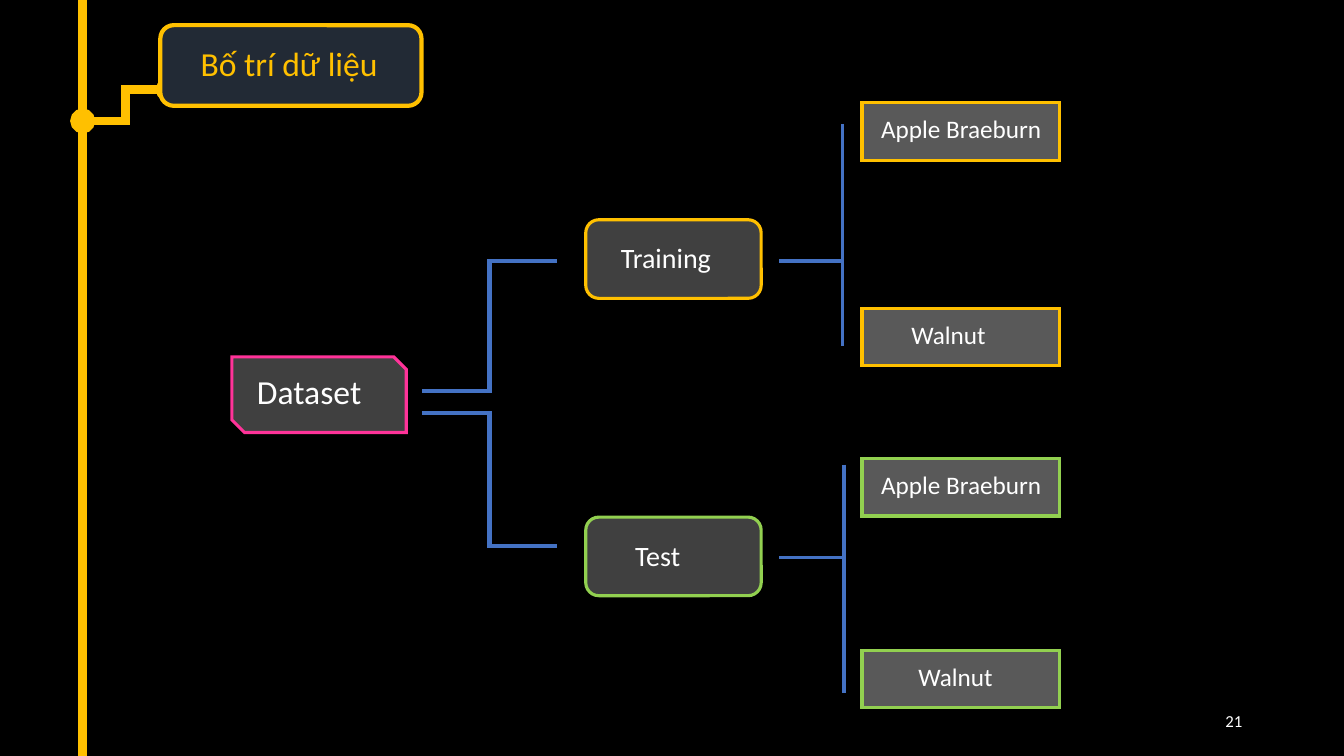
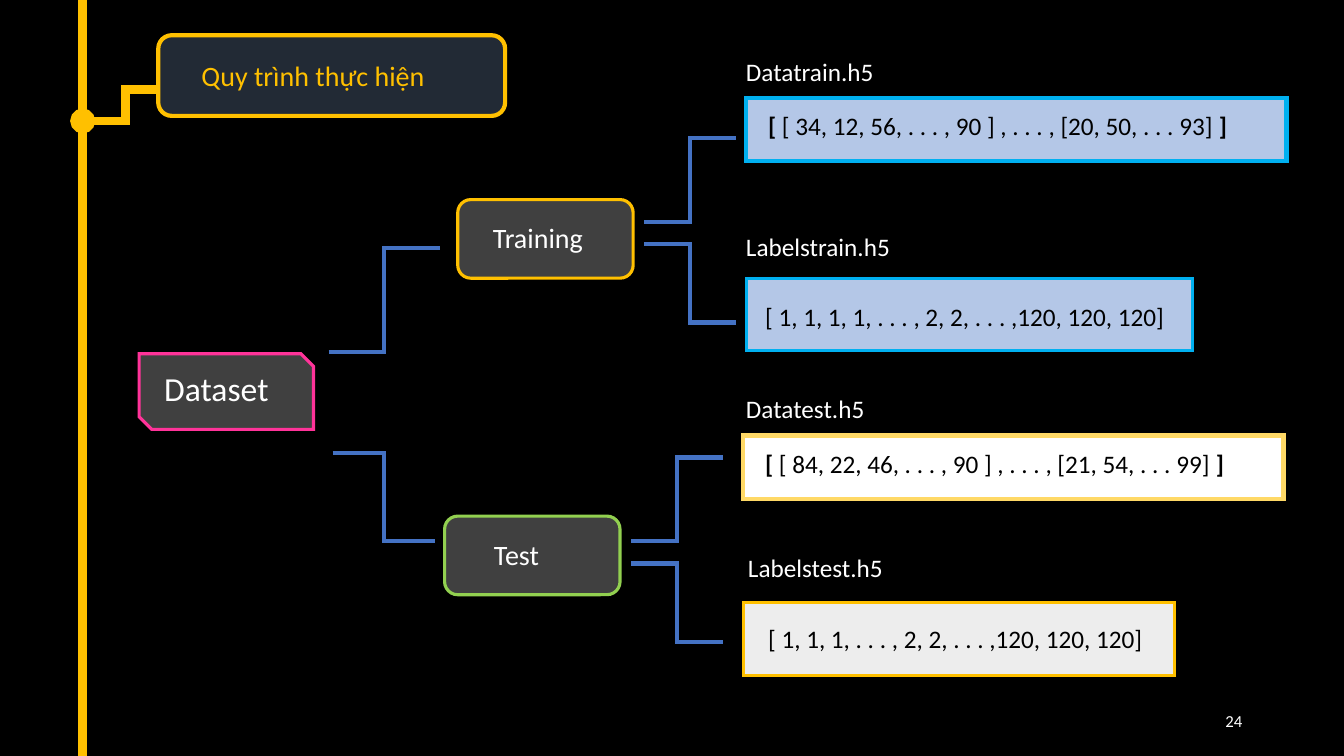
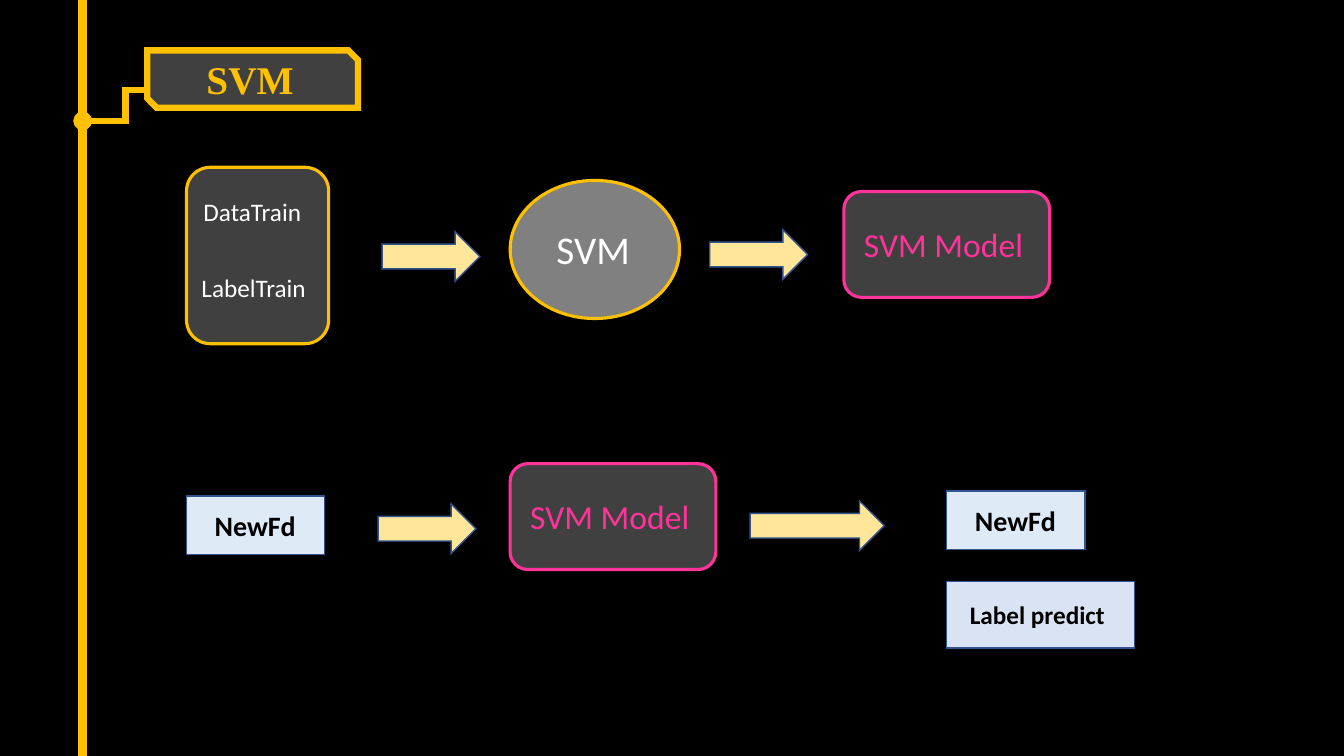
"""Build three dark slides: data layout, processing steps and SVM flow."""
from lxml import etree
from pptx import Presentation
from pptx import util as u
from pptx.dml import color
from pptx.enum import shapes, text
from pptx.oxml import ns

BLACK, WHITE, GOLD, PINK, GREEN = "000000", "FFFFFF", "FFC000", "FF3399", "92D050"
BLUE, SKY, NAVY, PALE_BLUE = "4472C4", "00B0F0", "325491", "B4C7E7"
NIGHT, CHARCOAL, GREY = "222A35", "404040", "595959"
RECT = shapes.MSO_SHAPE.RECTANGLE
ROUND = shapes.MSO_SHAPE.ROUNDED_RECTANGLE
SNIP = shapes.MSO_SHAPE.SNIP_2_DIAG_RECTANGLE
STRAIGHT, ELBOW = shapes.MSO_CONNECTOR.STRAIGHT, shapes.MSO_CONNECTOR.ELBOW


def rgb(value):
    """Turn a hex string into a colour."""
    return color.RGBColor.from_string(value)


def apply(target, values):
    """Set each attribute named in values on target."""
    for name, value in values.items():
        setattr(target, name, value)


def paint(fill, value):
    """Give a fill one solid colour."""
    fill.solid()
    fill.fore_color.rgb = rgb(value)


def outline(shape, value, width):
    """Give a shape or connector a solid line with sharp corners."""
    paint(shape.line.fill, value)
    shape.line.width = u.Pt(width)
    join = etree.SubElement(shape.line._get_or_add_ln(), ns.qn("a:miter"))
    join.set("lim", "800000")


def box(slide, kind, at, fill, line, width=2.25):
    """Draw a filled preset shape at left, top, width, height."""
    shape = slide.shapes.add_shape(kind, *map(u.Inches, at))
    shape.shadow.inherit = False
    paint(shape.fill, fill)
    outline(shape, line, width)


def caption(slide, left, top, width, runs, size=18, colour=WHITE, align=text.PP_ALIGN.LEFT, **font):
    """Write one line of text; runs is a string or (string, bold) pairs."""
    height = size * 1.2 / 72 + 0.1
    shape = slide.shapes.add_textbox(*map(u.Inches, (left, top, width, height)))
    shape.text_frame.word_wrap = True
    paragraph = shape.text_frame.paragraphs[0]
    paragraph.alignment = align
    for words, bold in [(runs, False)] if isinstance(runs, str) else runs:
        run = paragraph.add_run()
        run.text = words
        apply(run.font, {"name": "Calibri", "size": u.Pt(size), "bold": bold, **font})
        run.font.color.rgb = rgb(colour)


def connect(slide, kind, start, end, line=BLUE, width=3, ends=None):
    """Draw a connector from start to end, with optional end marks."""
    connector = slide.shapes.add_connector(kind, *map(u.Inches, (*start, *end)))
    outline(connector, line, width)
    if ends:
        for tag in ("a:headEnd", "a:tailEnd"):
            etree.SubElement(connector.line._get_or_add_ln(), ns.qn(tag)).set("type", ends)
    etree.SubElement(connector._element.spPr, ns.qn("a:effectLst"))


def start_slide(presentation, number=None, branch_width=6):
    """Add a black slide with the gold timeline and an optional number."""
    slide = presentation.slides.add_slide(presentation.slide_layouts[6])
    paint(slide.background.fill, BLACK)
    if number:
        caption(slide, 9.42, 7, 3, number, 12, align=text.PP_ALIGN.RIGHT)
    connect(slide, STRAIGHT, (0.82, 7.5), (0.82, 0), GOLD, 6)
    connect(slide, ELBOW, (0.82, 1.2), (1.67, 0.89), GOLD, branch_width, "oval")
    return slide


def dataset_node(slide, left, top):
    """Draw the root node of the data tree."""
    box(slide, SNIP, (left, top, 1.73, 0.75), CHARCOAL, PINK)
    caption(slide, left + 0.15, top + 0.09, 1.59, "Dataset", 24)


def split_node(slide, left, top, label, line, indent):
    """Draw a Training or Test node."""
    box(slide, ROUND, (left, top, 1.74, 0.78), CHARCOAL, line)
    caption(slide, left + indent, top + 0.16, 1.23, label, 20)


def class_node(slide, top, label, line, indent):
    """Draw a leaf naming one class."""
    box(slide, RECT, (8.55, top, 1.96, 0.57), GREY, line)
    caption(slide, 8.55 + indent, top + 0.06, 1.88, label)


def model_node(slide, left, top):
    """Draw the SVM model."""
    box(slide, ROUND, (left, top, 2.04, 1.05), CHARCOAL, PINK)
    caption(slide, left + 0.1, top + 0.27, 1.85, "SVM Model", 24, PINK)


def feature_node(slide, left, top):
    """Draw the new feature vector."""
    box(slide, RECT, (left, top, 1.37, 0.58), "DEEBF7", NAVY, 1)
    caption(slide, left + 0.18, top + 0.08, 1.21, "NewFd", 20, BLACK, bold=True)


def layout_slide(presentation):
    """Build the data layout tree."""
    slide = start_slide(presentation, "21")
    box(slide, ROUND, (1.59, 0.25, 2.59, 0.8), NIGHT, GOLD, 3)
    caption(slide, 1.89, 0.38, 1.98, "Bố trí dữ liệu", 24, GOLD)
    dataset_node(slide, 2.3, 3.54)
    connect(slide, ELBOW, (4.19, 3.88), (5.52, 2.59))
    connect(slide, ELBOW, (4.19, 4.1), (5.52, 5.42))
    split_node(slide, 5.81, 2.18, "Training", GOLD, 0.25)
    split_node(slide, 5.81, 5.13, "Test", GREEN, 0.39)
    for x, top, middle, bottom, width in ((8.36, 1.23, 2.59, 3.43, 2.25), (8.37, 4.61, 5.53, 6.88, 3)):
        connect(slide, STRAIGHT, (x, top), (x, bottom), width=width)
        connect(slide, STRAIGHT, (7.73, middle), (8.37, middle), width=2.25)
    class_node(slide, 1.02, "Apple Braeburn", GOLD, 0.09)
    class_node(slide, 4.55, "Apple Braeburn", GREEN, 0.09)
    class_node(slide, 3.06, "Walnut", GOLD, 0.39)
    class_node(slide, 6.45, "Walnut", GREEN, 0.46)


def process_slide(presentation):
    """Build the tree from the data set to the stored arrays."""
    slide = start_slide(presentation, "24")
    box(slide, ROUND, (1.57, 0.35, 3.44, 0.8), NIGHT, GOLD, 3)
    caption(slide, 1.9, 0.53, 2.77, "Quy trình thực hiện", 20, GOLD)
    dataset_node(slide, 1.38, 3.51)
    connect(slide, ELBOW, (3.26, 3.49), (4.36, 2.46))
    connect(slide, ELBOW, (3.3, 4.49), (4.31, 5.37))
    split_node(slide, 4.54, 1.98, "Training", GOLD, 0.25)
    split_node(slide, 4.41, 5.12, "Test", GREEN, 0.39)
    for left, top in ((6.39, 2.2), (6.26, 5.37)):
        connect(slide, ELBOW, (left, top), (left + 0.91, top - 0.83))
        connect(slide, ELBOW, (left, top + 0.22), (left + 0.91, top + 1))

    data_arrays = (
        (7.4, 0.97, " [ 34, 12, 56, . . . , 90 ] , . . . , [20, 50, . . . 93] ", PALE_BLUE, SKY),
        (7.37, 4.32, " [ 84, 22, 46, . . . , 90 ] , . . . , [21, 54, . . . 99] ", WHITE, "FFD966"),
    )
    for left, top, values, fill, line in data_arrays:
        box(slide, RECT, (left, top, 5.36, 0.63), fill, line, 3)
        runs = (("[", True), (values, False), ("]", True))
        caption(slide, left + 0.12, top + 0.08, 4.93, runs, colour=BLACK)

    label_arrays = (
        (7.4, 2.76, 4.43, 7.49, 2.94, "[ 1, 1, 1, 1, . . . , 2, 2, . . . ,120, 120, 120]", PALE_BLUE, SKY),
        (7.37, 5.98, 4.28, 7.52, 6.13, "[ 1, 1, 1, . . . , 2, 2, . . . ,120, 120, 120]", "EDEDED", GOLD),
    )
    for left, top, width, text_left, text_top, values, fill, line in label_arrays:
        box(slide, RECT, (left, top, width, 0.72), fill, line)
        caption(slide, text_left, text_top, 4.35, values, colour=BLACK)

    file_names = ((7.3, 0.51, "Datatrain.h5"), (7.3, 2.25, "Labelstrain.h5"),
                  (7.3, 3.85, "Datatest.h5"), (7.32, 5.43, "Labelstest.h5"))
    for left, top, name in file_names:
        caption(slide, left, top, 2.15, name)


def svm_slide(presentation):
    """Build the training and prediction flows."""
    slide = start_slide(presentation, branch_width=4.5)
    box(slide, SNIP, (1.46, 0.5, 2.09, 0.57), CHARCOAL, GOLD, 4.5)
    caption(slide, 1.95, 0.5, 1.6, "SVM", 28, GOLD, name="Times New Roman", bold=True)
    box(slide, ROUND, (1.85, 1.66, 1.41, 1.75), CHARCOAL, GOLD)
    caption(slide, 1.92, 1.9, 1.34, "DataTrain")
    caption(slide, 1.9, 2.65, 1.48, "LabelTrain")
    box(slide, shapes.MSO_SHAPE.OVAL, (5.06, 1.79, 1.68, 1.37), "808080", GOLD)
    caption(slide, 5.42, 2.19, 0.98, "SVM", 28)
    for left, top, width in ((3.79, 2.3, 0.97), (7.04, 2.28, 0.97), (3.75, 5, 0.97), (7.44, 4.97, 1.33)):
        box(slide, shapes.MSO_SHAPE.RIGHT_ARROW, (left, top, width, 0.49), "FFE699", NAVY, 1)
    model_node(slide, 8.37, 1.9)
    model_node(slide, 5.06, 4.6)
    feature_node(slide, 1.85, 4.92)
    feature_node(slide, 9.39, 4.87)
    box(slide, RECT, (9.39, 5.77, 1.86, 0.66), "DAE3F3", NAVY, 1)
    caption(slide, 9.52, 5.9, 1.59, "Label predict", colour=BLACK, bold=True)


def main():
    """Build and save the presentation."""
    presentation = Presentation()
    apply(presentation, {"slide_width": u.Inches(13.33), "slide_height": u.Inches(7.5)})
    layout_slide(presentation)
    process_slide(presentation)
    svm_slide(presentation)
    presentation.save("out.pptx")


if __name__ == "__main__":
    main()
